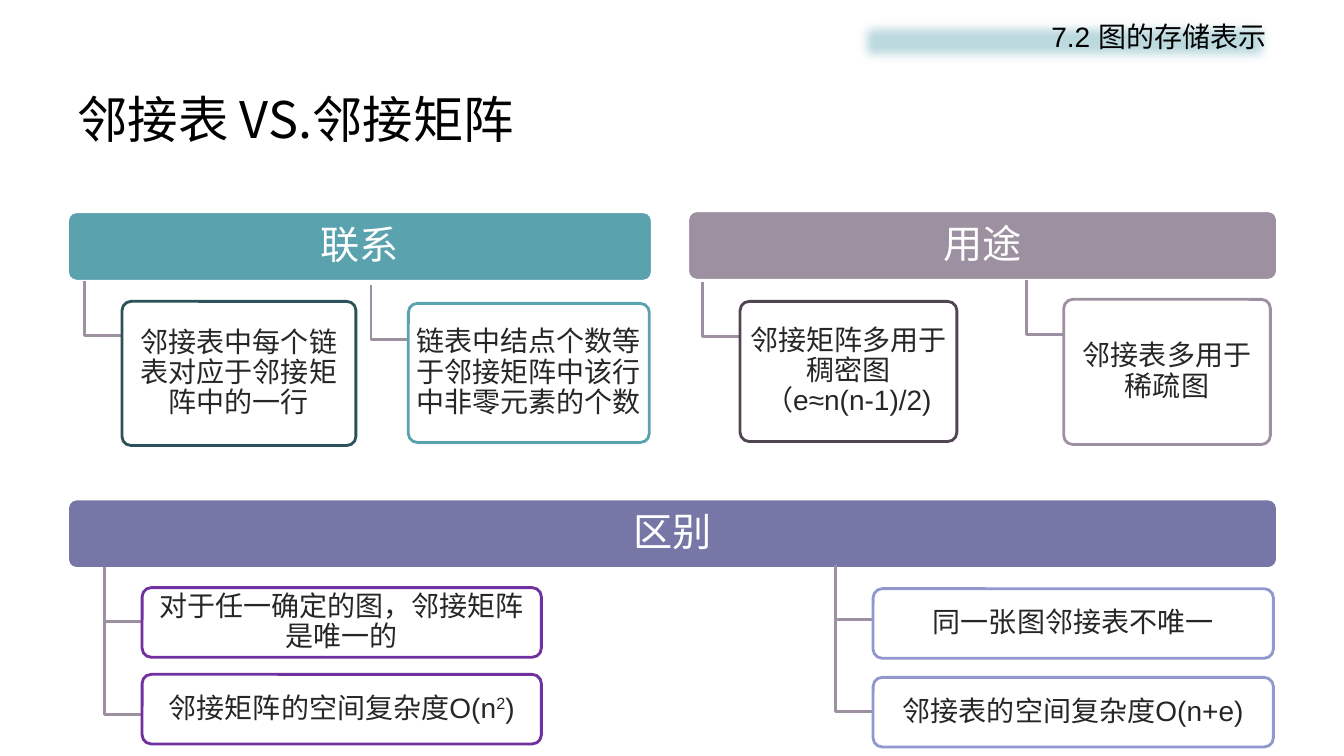
from dataclasses import dataclass

from lxml.etree import SubElement
from pptx import Presentation
from pptx.dml.color import RGBColor
from pptx.enum.shapes import MSO_SHAPE
from pptx.enum.text import MSO_ANCHOR, PP_ALIGN
from pptx.oxml.ns import qn
from pptx.shapes.autoshape import Shape
from pptx.slide import Slide
from pptx.text.text import TextFrame
from pptx.util import Inches, Pt

CJK_FONT = "Noto Sans CJK SC"
BRANCH_COLOR = "9D90A0"
BRANCH_WIDTH = 0.37
CORNER = 0.09


@dataclass
class Header:
    text: str
    left: float
    top: float
    width: float
    color: str
    height: float = 0.69


@dataclass
class Card:
    """A detail box; its branch starts at branch_top and falls by branch_drop."""
    text: str
    left: float
    top: float
    width: float
    height: float
    border: str
    branch_top: float
    branch_drop: float = 0.54
    tinted: bool = False


HEADERS = [
    Header("联系", 0.67, 2.1, 5.8, "5AA2AE"),
    Header("用途", 6.82, 2.09, 5.85, "9D90A0"),
    Header("区别", 0.67, 4.95, 12, "7677A6"),
]

# A caret marks the following character as superscript.
CARDS = [
    Card("邻接表中每个链表对应于邻接矩阵中的一行", 1.21, 2.99, 2.32, 1.43, "2B5259", 2.79),
    Card("链表中结点个数等于邻接矩阵中该行中非零元素的个数", 4.05, 3.01, 2.39, 1.38,
         "5AA2AE", 2.83, tinted=True),
    Card("邻接矩阵多用于稠密图（e≈n(n-1)/2)", 7.34, 2.99, 2.15, 1.39, "504652", 2.8),
    Card("邻接表多用于稀疏图", 10.55, 2.97, 2.05, 1.44, "9D90A0", 2.78, tinted=True),
    Card("对于任一确定的图，邻接矩阵是唯一的", 1.41, 5.83, 3.96, 0.69, "7030A0", 5.63),
    Card("邻接矩阵的空间复杂度O(n^2)", 1.41, 6.69, 3.96, 0.69, "7030A0", 5.66, 1.43),
    Card("同一张图邻接表不唯一", 8.66, 5.84, 3.97, 0.69, "9297CF", 5.61, tinted=True),
    Card("邻接表的空间复杂度O(n+e)", 8.66, 6.72, 3.97, 0.69, "9297CF", 5.63, 1.43,
         tinted=True),
]


def rgb(value: str) -> RGBColor:
    return RGBColor.from_string(value)


def write(frame: TextFrame, text: str, size: float, color: str,
          align: PP_ALIGN, font: str = "Arial") -> None:
    frame.word_wrap = True
    para = frame.paragraphs[0]
    para.alignment = align
    base, _, raised = text.partition("^")
    para.text = base
    if raised:
        exponent = para.add_run()
        exponent.text = raised[0]
        exponent._r.get_or_add_rPr().set("baseline", "30000")
        para.add_run().text = raised[1:]
    for span in para.runs:
        span.font.size = Pt(size)
        span.font.name = font
        span.font.color.rgb = rgb(color)
        SubElement(span._r.get_or_add_rPr(), qn("a:ea")).set("typeface", CJK_FONT)


def add_rounded_box(page: Slide, item: Header | Card, border: str,
                    size: float, color: str) -> Shape:
    box = page.shapes.add_shape(
        MSO_SHAPE.ROUNDED_RECTANGLE, Inches(item.left), Inches(item.top),
        Inches(item.width), Inches(item.height))
    box.shadow.inherit = False
    box.adjustments[0] = CORNER / min(item.width, item.height)
    box.line.color.rgb = rgb(border)
    box.line.width = Pt(2)
    frame = box.text_frame
    frame.vertical_anchor = MSO_ANCHOR.MIDDLE
    frame.margin_left = frame.margin_right = Inches(0.04)
    frame.margin_top = frame.margin_bottom = Inches(0.04)
    write(frame, item.text, size, color, PP_ALIGN.CENTER)
    frame.paragraphs[0].line_spacing = 0.9
    return box


def add_header(page: Slide, header: Header) -> None:
    box = add_rounded_box(page, header, "FFFFFF", 28, "FFFFFF")
    box.fill.solid()
    box.fill.fore_color.rgb = rgb(header.color)


def add_card(page: Slide, card: Card) -> None:
    box = add_rounded_box(page, card, card.border, 20, "262626")
    if card.tinted:
        box.fill.solid()
        box.fill.fore_color.rgb = rgb("FFFFFF")
        fill_color = box._element.spPr.find(qn("a:solidFill"))[0]
        SubElement(fill_color, qn("a:alpha")).set("val", "90000")
    else:
        box.fill.background()


def add_branch(page: Slide, card: Card) -> None:
    start = card.left - BRANCH_WIDTH
    bottom = card.branch_top + card.branch_drop
    builder = page.shapes.build_freeform(Inches(start), Inches(card.branch_top))
    builder.add_line_segments(
        [(Inches(start), Inches(bottom)), (Inches(card.left), Inches(bottom))],
        close=False)
    branch = builder.convert_to_shape()
    branch.shadow.inherit = False
    branch.fill.background()
    branch.line.color.rgb = rgb(BRANCH_COLOR)
    branch.line.width = Pt(2)


def add_title(page: Slide) -> None:
    box = page.shapes.add_textbox(Inches(0.67), Inches(0.8), Inches(12), Inches(0.75))
    box.text_frame.vertical_anchor = MSO_ANCHOR.MIDDLE
    write(box.text_frame, "邻接表 VS.邻接矩阵", 36, "000000", PP_ALIGN.LEFT, CJK_FONT)


def add_section_label(page: Slide) -> None:
    label = page.shapes.add_shape(
        MSO_SHAPE.RECTANGLE, Inches(8.46), Inches(0.14), Inches(4.2), Inches(0.54))
    label.fill.solid()
    label.fill.fore_color.rgb = rgb("BDDADF")
    label.line.fill.background()
    label.shadow.inherit = False
    effects = label._element.spPr.find(qn("a:effectLst"))
    SubElement(effects, qn("a:softEdge")).set("rad", str(Inches(0.12)))
    label.text_frame.vertical_anchor = MSO_ANCHOR.TOP
    write(label.text_frame, "7.2 图的存储表示", 20, "000000", PP_ALIGN.RIGHT)


def main() -> None:
    deck = Presentation()
    deck.slide_width, deck.slide_height = Inches(13.33), Inches(7.5)
    page = deck.slides.add_slide(deck.slide_layouts[6])
    add_title(page)
    add_section_label(page)
    for header in HEADERS:
        add_header(page, header)
    for card in CARDS:
        add_branch(page, card)
        add_card(page, card)
    deck.save("out.pptx")


if __name__ == "__main__":
    main()
